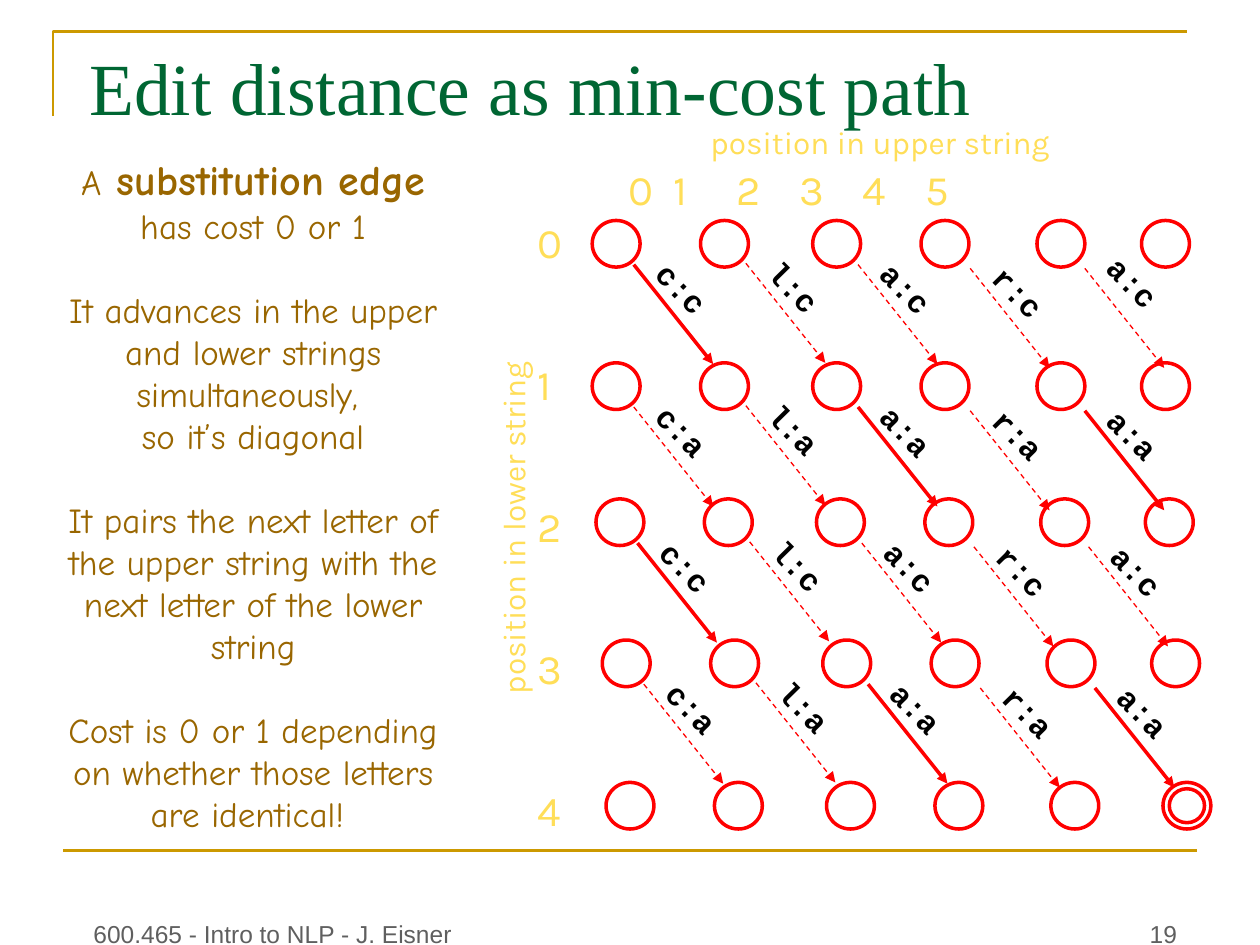
from lxml import etree
from pptx import Presentation
from pptx.dml.color import RGBColor
from pptx.enum import dml, shapes, text
from pptx.oxml.ns import qn
from pptx.util import Inches, Pt

GOLD = RGBColor(0xCC, 0x99, 0x00)
GREEN = RGBColor(0x00, 0x66, 0x33)
BROWN = RGBColor(0x99, 0x66, 0x00)
YELLOW = RGBColor(0xFF, 0xDE, 0x58)
RED = RGBColor(0xFF, 0x00, 0x00)
BLACK = RGBColor(0x00, 0x00, 0x00)
GRAY = RGBColor(0x5F, 0x5F, 0x5F)

LEFT, CENTER, RIGHT = text.PP_ALIGN.LEFT, text.PP_ALIGN.CENTER, text.PP_ALIGN.RIGHT

UPPER, LOWER = "clara", "caca"
COLUMN_LEFTS = [0, 0.86, 1.75, 2.61, 3.53, 4.36]
ROW_ORIGINS = [(0, 0), (0, 1.13), (0.03, 2.21), (0.08, 3.33), (0.11, 4.46)]
EDGE_STARTS = [(0.33, 0.35), (1.22, 0.34), (2.11, 0.35), (3, 0.38), (3.91, 0.38)]
EDGE_RUN, EDGE_DROP = 0.63, 0.79
DIGIT_TABS = [0.82, 1.48, 2.15, 2.89, 3.65]

EXPLANATION = [
    "It advances in the upper and lower strings simultaneously, \vso it’s diagonal",
    "It pairs the next letter of the upper string with the next letter of the lower string",
    "Cost is 0 or 1 depending on whether those letters are identical! ",
]


def style(paragraph, font, size, color, align=LEFT, bold=False):
    paragraph.alignment = align
    paragraph.font.name = font
    paragraph.font.size = Pt(size)
    paragraph.font.color.rgb = color
    paragraph.font.bold = bold


def add_text_frame(slide, box, wrap=True):
    shape = slide.shapes.add_textbox(*map(Inches, box))
    shape.text_frame.word_wrap = wrap
    return shape.text_frame


def add_label(slide, box, words, font, size, color, align=LEFT, bold=False, turn=0):
    """Add one unwrapped line of text, rotated by turn degrees."""
    shape = slide.shapes.add_textbox(*map(Inches, box))
    shape.rotation = turn
    shape.text_frame.word_wrap = False
    line = shape.text_frame.paragraphs[0]
    line.text = words
    style(line, font, size, color, align, bold)


def add_line(slide, start, end, color, width):
    line = slide.shapes.add_connector(
        shapes.MSO_CONNECTOR.STRAIGHT, *map(Inches, start + end))
    line.line.color.rgb = color
    line.line.width = Pt(width)
    etree.SubElement(line._element.spPr, qn("a:effectLst"))
    return line


def add_frame(slide, box):
    """Draw the gold corner above the title and the rule below the content."""
    left, top, width, height = box
    builder = slide.shapes.build_freeform(Inches(left), Inches(top + 0.67))
    builder.add_line_segments(
        [(Inches(left), Inches(top)), (Inches(left + width), Inches(top))], close=False)
    corner = builder.convert_to_shape()
    corner.shadow.inherit = False
    corner.fill.background()
    corner.line.color.rgb = GOLD
    corner.line.width = Pt(1.5)
    bottom = top + height
    add_line(slide, (left + 0.08, bottom), (left + width + 0.08, bottom), GOLD, 1.5)


def add_title(slide, box):
    title = slide.shapes.title
    title.left, title.top, title.width, title.height = map(Inches, box)
    frame = title.text_frame
    frame.auto_size = text.MSO_AUTO_SIZE.NONE
    frame.vertical_anchor = text.MSO_ANCHOR.BOTTOM
    frame.text = "Edit distance as min-cost path"
    style(frame.paragraphs[0], "Times New Roman", 42, GREEN)


def add_footer(slide, box):
    left, top, width, height = box
    for offset, part, words, align in [
            (0, 3.17, "600.465 - Intro to NLP - J. Eisner", CENTER),
            (width - 2.08, 2.08, "19", RIGHT)]:
        frame = add_text_frame(slide, (left + offset, top, part, height))
        frame.vertical_anchor = text.MSO_ANCHOR.BOTTOM
        frame.text = words
        style(frame.paragraphs[0], "Arial", 14, GRAY, align)


def add_explanation(slide, box):
    frame = add_text_frame(slide, box)
    lead = frame.paragraphs[0]
    style(lead, "Comic Neue", 20, BROWN, CENTER)
    lead.add_run().text = "A"
    term = lead.add_run()
    term.text = " substitution edge"
    term.font.size = Pt(24)
    term.font.bold = True
    lead.add_line_break()
    lead.add_run().text = "has cost 0 or 1"
    for words in EXPLANATION:
        paragraph = frame.add_paragraph()
        paragraph.text = words
        paragraph.space_before = Pt(24)
        style(paragraph, "Comic Neue", 20, BROWN, CENTER)


def add_axes(slide, box):
    """Number the columns and rows of the grid and name both axes."""
    left, top, width, height = box
    columns = add_text_frame(slide, (left + 0.58, top, width - 0.58, 0.5)).paragraphs[0]
    columns.text = "\t".join(map(str, range(len(UPPER) + 1)))
    columns._p.get_or_add_pPr().set("indent", str(Inches(0.14)))
    stops = etree.SubElement(columns._p.get_or_add_pPr(), qn("a:tabLst"))
    for stop in DIGIT_TABS:
        etree.SubElement(stops, qn("a:tab"), pos=str(Inches(stop)), algn="l")
    style(columns, "Karla", 24, YELLOW)

    rows = add_text_frame(slide, (left, top + 0.42, 0.58, height - 0.42))
    for number in range(len(LOWER) + 1):
        row = rows.add_paragraph() if number else rows.paragraphs[0]
        row.text = str(number)
        if number:
            row.space_before = Pt(52.3)
        style(row, "Karla", 24, YELLOW)

    add_label(slide, (left + 1.34, top - 0.32, 2.95, 0.4), "position in upper string",
              "Karla", 18, YELLOW, CENTER)
    add_label(slide, (left - 1.55, top + 2.74, 2.9, 0.4), "position in lower string",
              "Karla", 18, YELLOW, CENTER, turn=270)


def add_node(slide, left, top, width=0.38, height=0.37):
    node = slide.shapes.add_shape(
        shapes.MSO_SHAPE.OVAL, *map(Inches, (left, top, width, height)))
    node.shadow.inherit = False
    node.fill.background()
    node.line.color.rgb = RED
    node.line.width = Pt(2)


def add_edge(slide, left, top, upper, lower, lift):
    """Draw a substitution arrow, solid when both letters agree."""
    matches = upper == lower
    edge = add_line(slide, (left, top), (left + EDGE_RUN, top + EDGE_DROP),
                    RED, 2 if matches else 0.75)
    if not matches:
        edge.line.dash_style = dml.MSO_LINE.DASH
    etree.SubElement(edge.line._get_or_add_ln(), qn("a:tailEnd"), type="triangle")
    add_label(slide, (left + 0.06, top - 0.01 - lift, 0.65, 0.4), f"{upper}:{lower}",
              "Courier New", 18, BLACK, bold=True, turn=45.5)


def add_edit_graph(slide, left, top):
    last_row, last_column = len(LOWER), len(UPPER)
    for row, (shift, drop) in enumerate(ROW_ORIGINS):
        x, y = left + shift, top + drop
        for column, offset in enumerate(COLUMN_LEFTS):
            if (row, column) == (last_row, last_column):
                goal = x + offset + 0.06
                add_node(slide, goal, y)
                add_node(slide, goal + 0.05, y + 0.05, 0.28, 0.27)
            else:
                add_node(slide, x + offset, y)
        if row < last_row:
            for column, (dx, dy) in enumerate(EDGE_STARTS):
                lift = 0.08 if (row, column) == (0, last_column - 1) else 0
                add_edge(slide, x + dx, y + dy, UPPER[column], LOWER[row], lift)


def main():
    deck = Presentation()
    deck.slide_width, deck.slide_height = Inches(10), Inches(7.5)
    slide = deck.slides.add_slide(deck.slide_layouts.get_by_name("Title Only"))
    add_frame(slide, (0.42, 0.25, 9, 6.5))
    add_title(slide, (0.61, -0.17, 8.39, 1.25))
    add_footer(slide, (0.58, 7.08, 8.86, 0.5))
    add_edit_graph(slide, 4.7, 1.75)
    add_axes(slide, (4.17, 1.25, 5.33, 5.32))
    add_explanation(slide, (0.33, 1.17, 3.36, 5.5))
    deck.save("out.pptx")


if __name__ == "__main__":
    main()
